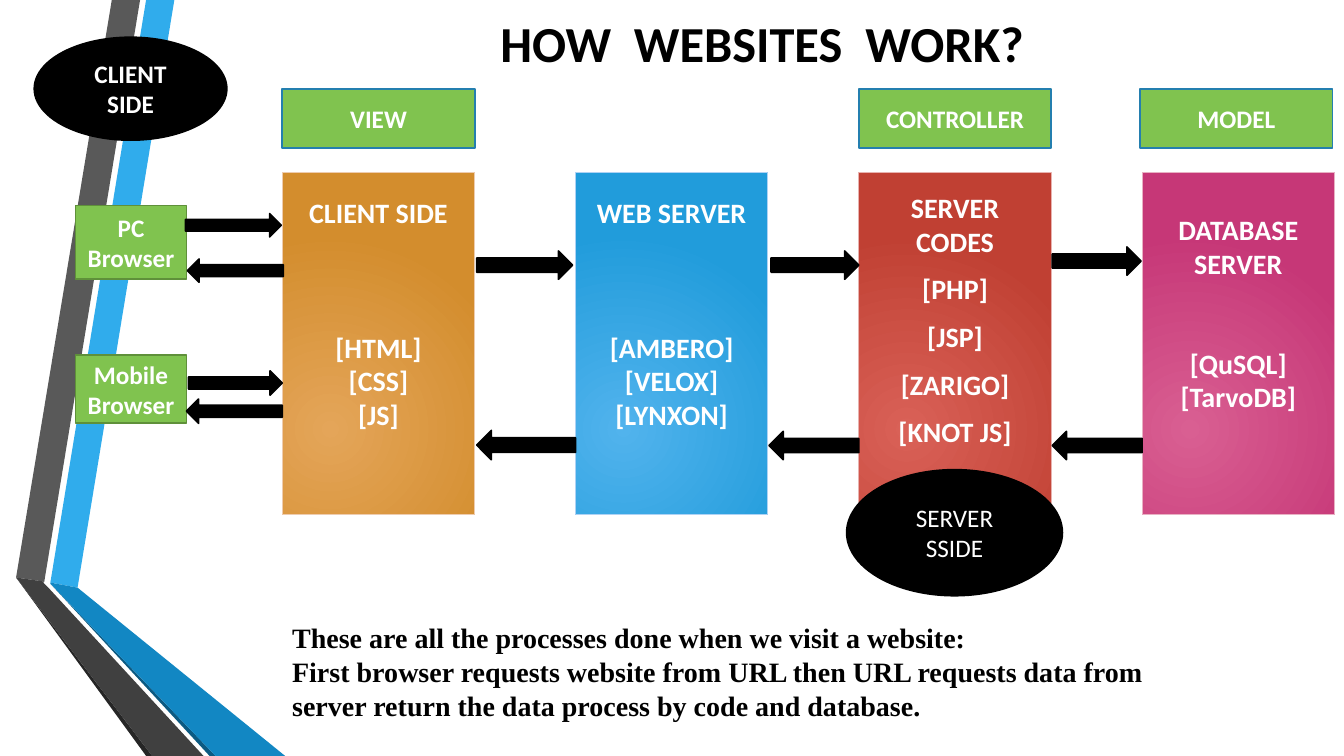
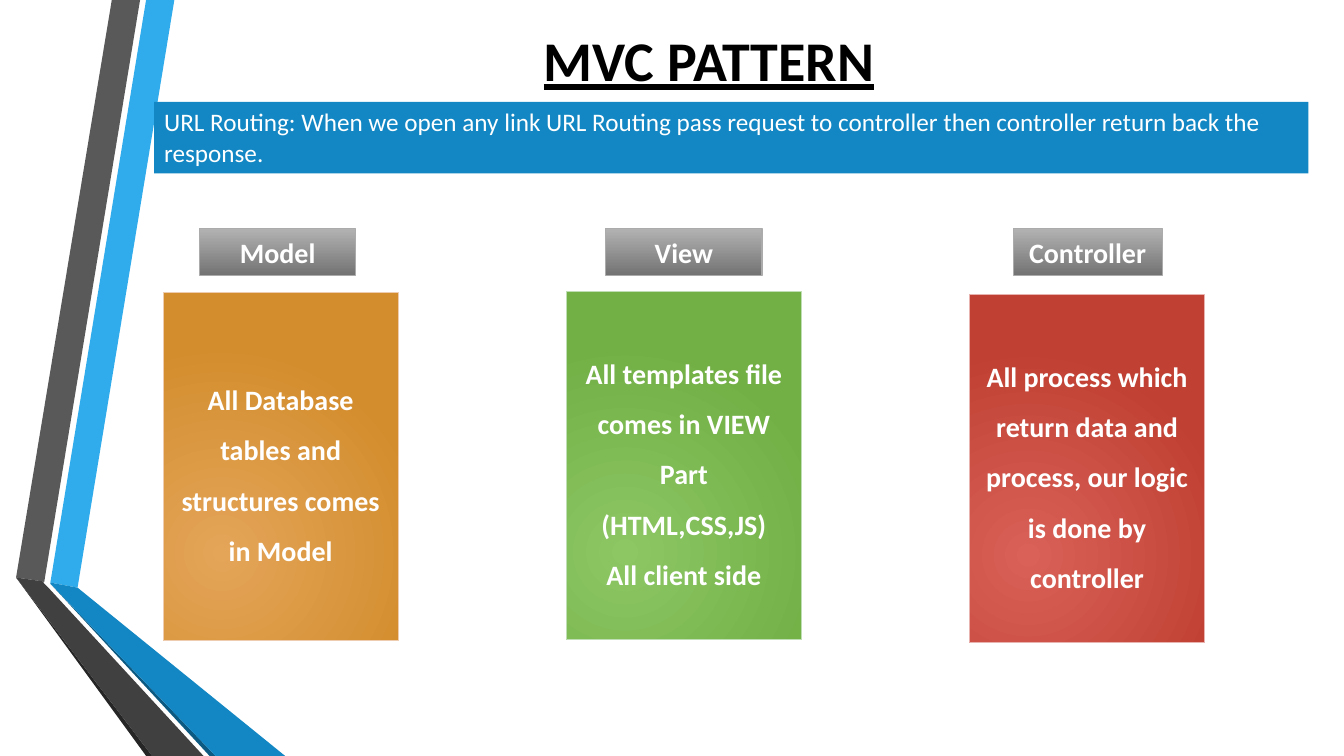
from dataclasses import dataclass
from typing import NamedTuple, Optional

from lxml import etree
from pptx import Presentation
from pptx.dml.color import RGBColor
from pptx.enum.shapes import MSO_SHAPE
from pptx.enum.text import MSO_ANCHOR, PP_ALIGN
from pptx.oxml.ns import qn
from pptx.slide import Slide
from pptx.util import Emu, Inches, Pt

RECT, OVAL = MSO_SHAPE.RECTANGLE, MSO_SHAPE.OVAL
RIGHT, LEFT = MSO_SHAPE.RIGHT_ARROW, MSO_SHAPE.LEFT_ARROW
TOP, MIDDLE = MSO_ANCHOR.TOP, MSO_ANCHOR.MIDDLE
CENTER, FLUSH_LEFT = PP_ALIGN.CENTER, PP_ALIGN.LEFT

# The slide is a grid of 160 columns by 90 rows
COLUMNS, ROWS = 160, 90
UNIT = Inches(7.5) // ROWS

COLORS = {
    "white": "FFFFFF", "black": "000000",
    "sky": "30ACEC", "blue": "1287C3", "navy": "0C5A82", "blue_edge": "247FAF",
    "graphite": "595959", "coal": "404040", "soot": "262626",
    "leaf": "80C34F", "leaf_edge": "5F903A",
    "amber_light": "E4A559", "amber_dark": "D38D2D", "amber_edge": "EECCAF",
    "azure_light": "51B3ED", "azure_dark": "219CDB", "azure_edge": "AED2F4",
    "red_light": "D96157", "red_dark": "C04033", "red_edge": "E8B2AF",
    "pink_light": "D95F92", "pink_dark": "C63777", "pink_edge": "E8B1C3",
    "green_light": "8CC764", "green_dark": "72AF45", "green_edge": "C0DEB3",
    "grey_light": "B2B2B2", "grey_dark": "737373", "grey_edge": "ABABAB",
}

# Ribbon at the left edge: colour and outline in grid units
RIBBON = (
    ("sky", ((6, 69.36), (9.24, 69.96), (20.76, 0), (17.4, 0))),
    ("graphite", ((16.68, 0), (13.32, 0), (1.92, 68.76), (5.28, 69.24))),
    ("soot", ((1.92, 68.76), (17.4, 90), (18.12, 90))),
    ("navy", ((6, 69.48), (24.96, 90), (25.68, 90))),
    ("blue", ((6, 69.36), (6, 69.48), (25.68, 90), (33.96, 90), (9.24, 69.96))),
    ("coal", ((24.24, 90), (5.76, 69.96), (5.16, 69.36), (5.28, 69.24),
              (1.92, 68.76), (18.12, 90))),
)


class Area(NamedTuple):
    left: float
    top: float
    width: float
    height: float

    def emu(self) -> list[Emu]:
        return [Emu(round(length * UNIT)) for length in self]


class Line(NamedTuple):
    text: str
    gap: float = 0  # points before the paragraph


@dataclass
class TextStyle:
    size: float = 20
    font: str = "Calibri"
    color: str = "white"
    bold: bool = True
    underline: bool = False
    align: PP_ALIGN = CENTER
    anchor: MSO_ANCHOR = MIDDLE
    spacing: float = 1.0
    word_gap: float = 0  # points added to each space
    top_inset: float = 0.6  # grid rows


@dataclass
class Box:
    area: Area
    lines: tuple[Line, ...]
    style: TextStyle
    fill: Optional[str] = None
    edge: Optional[str] = None
    edge_width: float = 1.25
    outline: MSO_SHAPE = RECT


class Panel(NamedTuple):
    left: float
    color: str
    inset: float
    lines: tuple[Line, ...]


class Card(NamedTuple):
    heading: str
    heading_area: Area
    top: float
    color: str
    lines: tuple[Line, ...]


LABEL = TextStyle(size=18)


def rgb(name: str) -> RGBColor:
    return RGBColor.from_string(COLORS[name])


def apply(target, values: dict) -> None:
    for attribute, value in values.items():
        setattr(target, attribute, value)


def paint(shape, fill: str, edge: Optional[str], width: float = 1.25) -> None:
    """Fill with a plain colour, or with a gradient if the name has shades."""
    shape.shadow.inherit = False
    if fill in COLORS:
        shape.fill.solid()
        shape.fill.fore_color.rgb = rgb(fill)
    else:
        shape.fill.gradient()
        shape.fill.gradient_angle = 270
        for stop, shade, position in zip(shape.fill.gradient_stops, ("light", "dark"), (0, 1)):
            stop.position = position
            stop.color.rgb = rgb(f"{fill}_{shade}")
        if fill != "grey":
            make_radial(shape)
    if edge is None:
        shape.line.fill.background()
    else:
        shape.line.color.rgb = rgb(edge)
        shape.line.width = Pt(width)


def make_radial(shape) -> None:
    gradient = shape.element.spPr.find(qn("a:gradFill"))
    gradient.remove(gradient.find(qn("a:lin")))
    circle = etree.SubElement(gradient, qn("a:path"), {"path": "circle"})
    etree.SubElement(circle, qn("a:fillToRect"),
                     {"l": "50000", "t": "100000", "r": "100000", "b": "50000"})


def add_run(paragraph, text: str, style: TextStyle):
    run = paragraph.add_run()
    run.text = text
    apply(run.font, {"name": style.font, "size": Pt(style.size),
                     "bold": style.bold, "underline": style.underline})
    run.font.color.rgb = rgb(style.color)
    return run


def write(frame, lines: tuple[Line, ...], style: TextStyle) -> None:
    apply(frame, {"word_wrap": True, "vertical_anchor": style.anchor,
                  "margin_top": Emu(round(style.top_inset * UNIT))})
    for index, line in enumerate(lines):
        paragraph = frame.add_paragraph() if index else frame.paragraphs[0]
        apply(paragraph, {"alignment": style.align, "line_spacing": style.spacing,
                          "space_before": Pt(line.gap), "space_after": Pt(0)})
        if not style.word_gap:
            add_run(paragraph, line.text, style)
            continue
        for position, word in enumerate(line.text.split()):
            if position:
                space = add_run(paragraph, " ", style)
                space.font._element.set("spc", str(round(style.word_gap * 100)))
            add_run(paragraph, word, style)


def add_box(slide: Slide, box: Box) -> None:
    if box.fill is None:
        shape = slide.shapes.add_textbox(*box.area.emu())
    else:
        shape = slide.shapes.add_shape(box.outline, *box.area.emu())
        paint(shape, box.fill, box.edge, box.edge_width)
    write(shape.text_frame, box.lines, box.style)


def add_shaded(slide: Slide, area: Area, lines: tuple[Line, ...], color: str,
               style: TextStyle) -> None:
    add_box(slide, Box(area, lines, style, color, f"{color}_edge", 0.75))


def add_arrow(slide: Slide, outline: MSO_SHAPE, area: Area) -> None:
    paint(slide.shapes.add_shape(outline, *area.emu()), "black", "black")


def new_slide(deck, title: str, area: Area, size: float, **extras) -> Slide:
    """Blank slide with the shared ribbon and title."""
    slide = deck.slides.add_slide(deck.slide_layouts[6])
    for color, points in RIBBON:
        corners = [(round(x * UNIT), round(y * UNIT)) for x, y in points]
        builder = slide.shapes.build_freeform(*corners[0], scale=1.0)
        builder.add_line_segments(corners[1:], close=True)
        paint(builder.convert_to_shape(), color, None)
    add_box(slide, Box(area, (Line(title),), TextStyle(size, color="black", **extras)))
    return slide


# Slide 1: request flow
PANELS = (
    Panel(102.24, "red", 2.2, (Line("SERVER CODES"), Line("[PHP]", 10), Line("[JSP]", 10),
                               Line("[ZARIGO]", 10), Line("[KNOT JS]", 10))),
    Panel(33.6, "amber", 2.8, (Line("CLIENT SIDE"), Line("[HTML]", 72), Line("[CSS]"),
                               Line("[JS]"))),
    Panel(68.5, "azure", 2.8, (Line("WEB SERVER"), Line("[AMBERO]", 72), Line("[VELOX]"),
                               Line("[LYNXON]"))),
    Panel(135.96, "pink", 4.8, (Line("DATABASE"), Line("SERVER"), Line("[QuSQL]", 47.5),
                                Line("[TarvoDB]"))),
)
PANEL_WIDTH = 22.92
BROWSERS = (
    (Area(9, 24.48, 13.2, 8.76), (Line("PC Browser"),)),
    (Area(9, 42.24, 13.2, 8.16), (Line("Mobile"), Line("Browser"))),
)
ROLES = (("VIEW", 33.6), ("CONTROLLER", 102.24), ("MODEL", 135.72))
SIDES = (
    ("CLIENT SIDE", Area(4.08, 4.44, PANEL_WIDTH, 12.24), True),
    ("SERVER SSIDE", Area(100.8, 55.92, 25.68, 15), False),
)
ARROWS = (
    (RIGHT, Area(22.08, 25.44, 11.4, 2.76)),
    (RIGHT, Area(22.44, 44.16, 11.16, 2.88)),
    (LEFT, Area(22.32, 30.84, 11.4, 2.76)),
    (RIGHT, Area(56.76, 29.88, 11.4, 3.36)),
    (RIGHT, Area(91.8, 29.88, 10.44, 3.36)),
    (RIGHT, Area(125.28, 29.4, 10.56, 3.36)),
    (LEFT, Area(22.2, 47.52, 11.4, 2.88)),
    (LEFT, Area(56.76, 51.24, 11.76, 3.48)),
    (LEFT, Area(91.56, 51.36, 10.68, 3.36)),
    (LEFT, Area(125.28, 51.36, 10.68, 3.36)),
)
SUMMARY = (
    Line("These are all the processes done when we visit a website:"),
    Line("First browser requests website from URL then URL requests data from "
         "server return the data process by code and database."),
)


def build_request_flow(deck) -> None:
    slide = new_slide(deck, "HOW WEBSITES WORK?", Area(30.48, 1.68, 120.48, 6.84), 36,
                      word_gap=8.1)
    for panel in PANELS:
        add_shaded(slide, Area(panel.left, 20.5, PANEL_WIDTH, 40.8), panel.lines,
                   panel.color, TextStyle(anchor=TOP, top_inset=panel.inset))
    for area, lines in BROWSERS:
        add_box(slide, Box(area, lines, LABEL, "leaf", "leaf_edge"))
    for role, left in ROLES:
        add_box(slide, Box(Area(left, 10.56, PANEL_WIDTH, 7.08), (Line(role),), LABEL,
                           "leaf", "blue_edge"))
    for side, area, bold in SIDES:
        add_box(slide, Box(area, (Line(side),), TextStyle(size=18, bold=bold),
                           "black", "black", outline=OVAL))
    for direction, area in ARROWS:
        add_arrow(slide, direction, area)
    add_box(slide, Box(Area(33.6, 73.32, 112.08, 13.32), SUMMARY,
                       TextStyle(font="Times New Roman", color="black",
                                 align=FLUSH_LEFT, anchor=TOP)))


# Slide 2: the three parts of the pattern
ROUTING = ("URL Routing: When we open any link URL Routing pass request to controller "
           "then controller return back the response.")
CARDS = (
    Card("Model", Area(23.76, 27.24, 18.6, 5.52), 34.8, "amber",
         (Line("All Database tables and structures comes in Model"),)),
    Card("View", Area(72.12, 27.24, 18.6, 5.52), 34.68, "green",
         (Line("All templates file comes in VIEW Part"), Line("(HTML,CSS,JS)"),
          Line("All client side"))),
    Card("Controller", Area(120.6, 27.24, 17.76, 5.52), 35.04, "red",
         (Line("All process which return data and process, our logic is done by controller"),)),
)
FIRST_CARD, CARD_STEP = 19.44, 48


def build_pattern(deck) -> None:
    slide = new_slide(deck, "MVC PATTERN", Area(13.08, 0, 142.68, 14.04), 40, underline=True)
    add_box(slide, Box(Area(18.36, 12.12, 137.4, 8.52), (Line(ROUTING),),
                       TextStyle(size=18, bold=False, align=FLUSH_LEFT, anchor=TOP), "blue"))
    for index, card in enumerate(CARDS):
        area = Area(FIRST_CARD + index * CARD_STEP, card.top, 27.96, 41.4)
        add_shaded(slide, area, card.lines, card.color, TextStyle(spacing=1.5))
        add_shaded(slide, card.heading_area, (Line(card.heading),), "grey", TextStyle())


def main() -> None:
    deck = Presentation()
    apply(deck, {"slide_width": Emu(COLUMNS * UNIT), "slide_height": Emu(ROWS * UNIT)})
    build_request_flow(deck)
    build_pattern(deck)
    deck.save("out.pptx")


if __name__ == "__main__":
    main()
